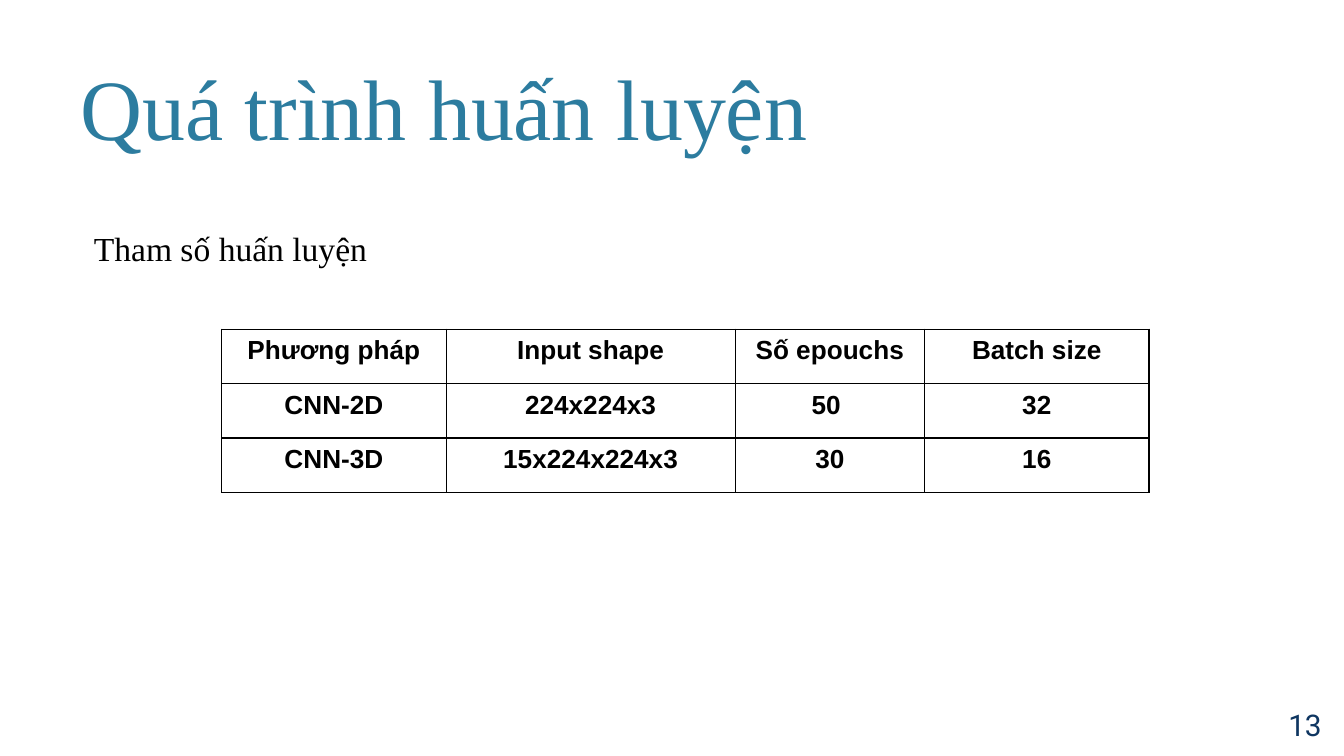
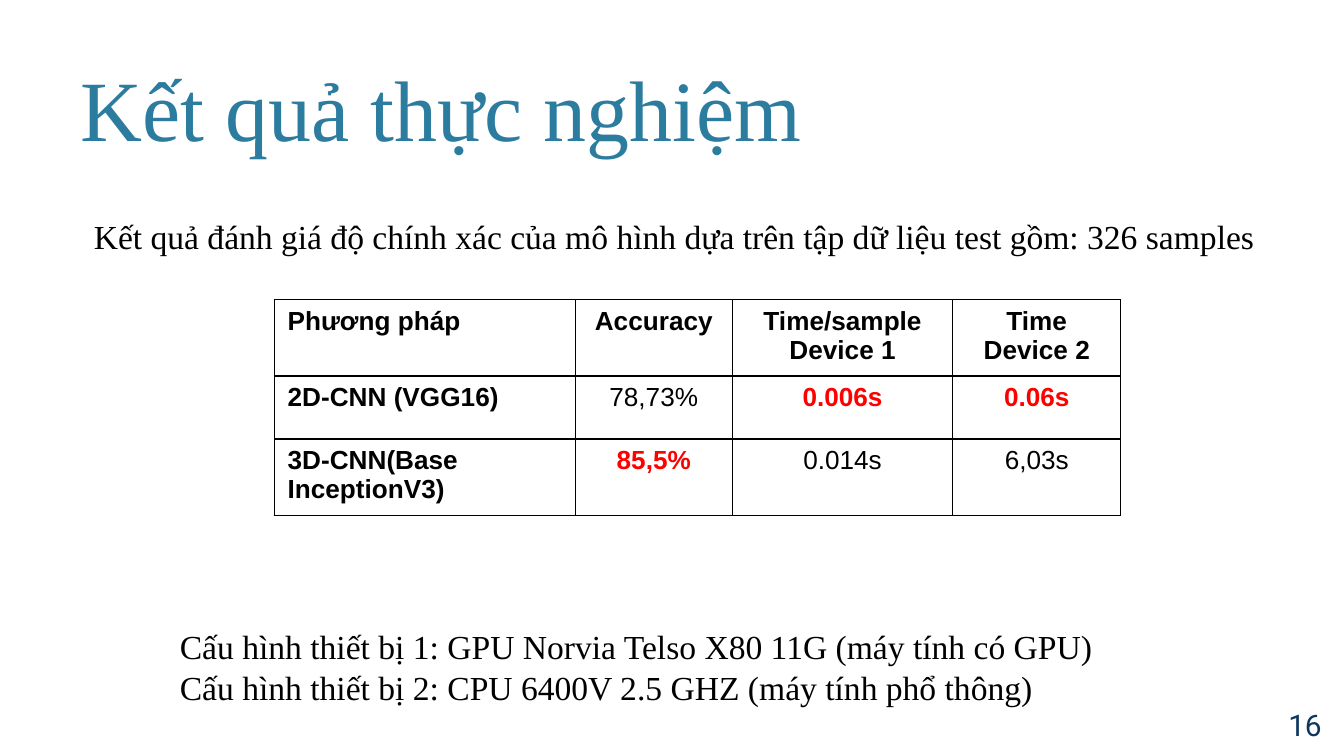
from dataclasses import dataclass
from typing import Optional

from pptx import Presentation
from pptx.dml.color import RGBColor
from pptx.enum.text import MSO_ANCHOR, MSO_AUTO_SIZE, PP_ALIGN
from pptx.oxml.ns import qn
from pptx.util import Inches, Pt
from lxml import etree

LEFT, CENTER = PP_ALIGN.LEFT, PP_ALIGN.CENTER
TOP, MIDDLE, BOTTOM = MSO_ANCHOR.TOP, MSO_ANCHOR.MIDDLE, MSO_ANCHOR.BOTTOM
GROW, FIXED = MSO_AUTO_SIZE.SHAPE_TO_FIT_TEXT, MSO_AUTO_SIZE.NONE

SLIDE_WIDTH, SLIDE_HEIGHT = Inches(10), Inches(5.625)
COLUMNS = 100
UNIT = SLIDE_WIDTH / COLUMNS  # square grid: columns and rows have equal size


@dataclass(frozen=True)
class Theme:
    background: str = "FFFFFF"
    title: str = "2C7C9F"
    number: str = "0F3661"
    text: str = "000000"
    best: str = "FF0000"
    serif: str = "Times New Roman"
    table_font: str = "Arial"
    number_font: str = "Roboto"
    title_size: float = 46
    body_size: float = 18
    number_size: float = 16
    table_size: float = 14
    border: float = 0.75


THEME = Theme()


@dataclass(frozen=True)
class Area:
    """A rectangle in grid units."""
    column: float
    row: float
    width: float
    height: float

    def lengths(self) -> list[int]:
        return [grid(n) for n in (self.column, self.row, self.width, self.height)]


@dataclass(frozen=True)
class Cell:
    text: str
    bold: bool = True
    color: str = THEME.text
    align: PP_ALIGN = CENTER


@dataclass(frozen=True)
class Grid:
    column: float
    row: float
    widths: tuple[float, ...]
    heights: tuple[float, ...]
    cells: tuple[tuple[Cell, ...], ...]


@dataclass(frozen=True)
class Note:
    text: str
    area: Area


@dataclass(frozen=True)
class Page:
    number: int
    title: str
    title_area: Area
    table: Grid
    notes: tuple[Note, ...]


def grid(count: float) -> int:
    return round(count * UNIT)


def write(frame, text: str, *, font: str, size: float, color: str,
          bold: Optional[bool] = None, align: PP_ALIGN = LEFT) -> None:
    """Fill a text frame, one paragraph for each line of text."""
    for index, line in enumerate(text.split("\n")):
        para = frame.add_paragraph() if index else frame.paragraphs[0]
        para.alignment = align
        span = para.add_run()
        span.text = line
        span.font.name = font
        span.font.size = Pt(size)
        span.font.bold = bold
        span.font.color.rgb = RGBColor.from_string(color)


def add_text(slide, area: Area, text: str, *, anchor: MSO_ANCHOR = TOP,
             fit: MSO_AUTO_SIZE = FIXED, inset: float = 1, **style) -> None:
    box = slide.shapes.add_textbox(*area.lengths())
    frame = box.text_frame
    frame.word_wrap = True
    frame.auto_size = fit
    frame.vertical_anchor = anchor
    frame.margin_left = frame.margin_right = grid(1)
    frame.margin_top = frame.margin_bottom = grid(inset)
    write(frame, text, **style)


def add_borders(cell) -> None:
    """Draw the four edges; they must precede the fill in the cell properties."""
    properties = cell._tc.get_or_add_tcPr()
    for index, side in enumerate(("lnL", "lnR", "lnT", "lnB")):
        line = etree.Element(qn(f"a:{side}"), w=str(Pt(THEME.border)))
        fill = etree.SubElement(line, qn("a:solidFill"))
        etree.SubElement(fill, qn("a:srgbClr"), val=THEME.text)
        properties.insert(index, line)


def add_grid(slide, data: Grid) -> None:
    area = Area(data.column, data.row, sum(data.widths), sum(data.heights))
    table = slide.shapes.add_table(
        len(data.heights), len(data.widths), *area.lengths()).table
    table.first_row = table.horz_banding = False
    for column, width in zip(table.columns, data.widths):
        column.width = grid(width)
    for row, height, contents in zip(table.rows, data.heights, data.cells):
        row.height = grid(height)
        for cell, content in zip(row.cells, contents):
            cell.fill.background()
            add_borders(cell)
            write(cell.text_frame, content.text, font=THEME.table_font,
                  size=THEME.table_size, color=content.color,
                  bold=content.bold, align=content.align)


def add_page(deck, page: Page) -> None:
    slide = deck.slides.add_slide(deck.slide_layouts[6])
    slide.background.fill.solid()
    slide.background.fill.fore_color.rgb = RGBColor.from_string(THEME.background)
    add_text(slide, NUMBER_AREA, str(page.number), anchor=MIDDLE, align=CENTER,
             font=THEME.number_font, size=THEME.number_size, color=THEME.number)
    add_text(slide, page.title_area, page.title, anchor=BOTTOM,
             font=THEME.serif, size=THEME.title_size, color=THEME.title)
    add_grid(slide, page.table)
    for note in page.notes:
        add_text(slide, note.area, note.text, fit=GROW, inset=0.5,
                 font=THEME.serif, size=THEME.body_size, color=THEME.text)


def headings(*texts: str) -> tuple[Cell, ...]:
    return tuple(Cell(text) for text in texts)


def label(text: str) -> Cell:
    return Cell(text, align=LEFT)


def best(text: str) -> Cell:
    return Cell(text, color=THEME.best)


def plain(text: str) -> Cell:
    return Cell(text, bold=False)


NUMBER_AREA = Area(94.2, 51.6, 5.8, 4.7)

TRAINING = Page(
    number=13,
    title="Quá trình huấn luyện",
    title_area=Area(5, 3.3, 86.9, 9.4),
    table=Grid(16.5, 24.5, (16.7, 21.5, 14.1, 16.7), (4.05,) * 3, (
        headings("Phương pháp", "Input shape", "Số epouchs", "Batch size"),
        headings("CNN-2D", "224x224x3", "50 ", "32"),
        headings("CNN-3D", "15x224x224x3", "30", "16"),
    )),
    notes=(Note("Tham số huấn luyện", Area(6, 16.5, 36.2, 4)),),
)

RESULTS = Page(
    number=16,
    title="Kết quả thực nghiệm",
    title_area=Area(5, 3.4, 87.9, 9.4),
    table=Grid(20.4, 22.3, (22.4, 11.7, 16.4, 12.5), (4.3, 4.7, 4.8), (
        (label("Phương pháp"),
         *headings("Accuracy", "Time/sample Device 1", "Time\nDevice 2")),
        (label("2D-CNN (VGG16)"), plain("78,73%"), best("0.006s"), best("0.06s")),
        (label("3D-CNN(Base InceptionV3)"), best("85,5%"),
         plain("0.014s"), plain("6,03s")),
    )),
    notes=(
        Note("Kết quả đánh giá độ chính xác của mô hình dựa trên tập dữ liệu "
             "test gồm: 326 samples", Area(6, 15.6, 90.6, 4)),
        Note("Cấu hình thiết bị 1: GPU Norvia Telso X80 11G (máy tính có GPU)\n"
             "Cấu hình thiết bị 2: CPU 6400V 2.5 GHZ (máy tính phổ thông)",
             Area(12.4, 46.1, 71.7, 7.1)),
    ),
)


def main() -> None:
    deck = Presentation()
    deck.slide_width, deck.slide_height = SLIDE_WIDTH, SLIDE_HEIGHT
    for page in (TRAINING, RESULTS):
        add_page(deck, page)
    deck.save("out.pptx")


if __name__ == "__main__":
    main()
